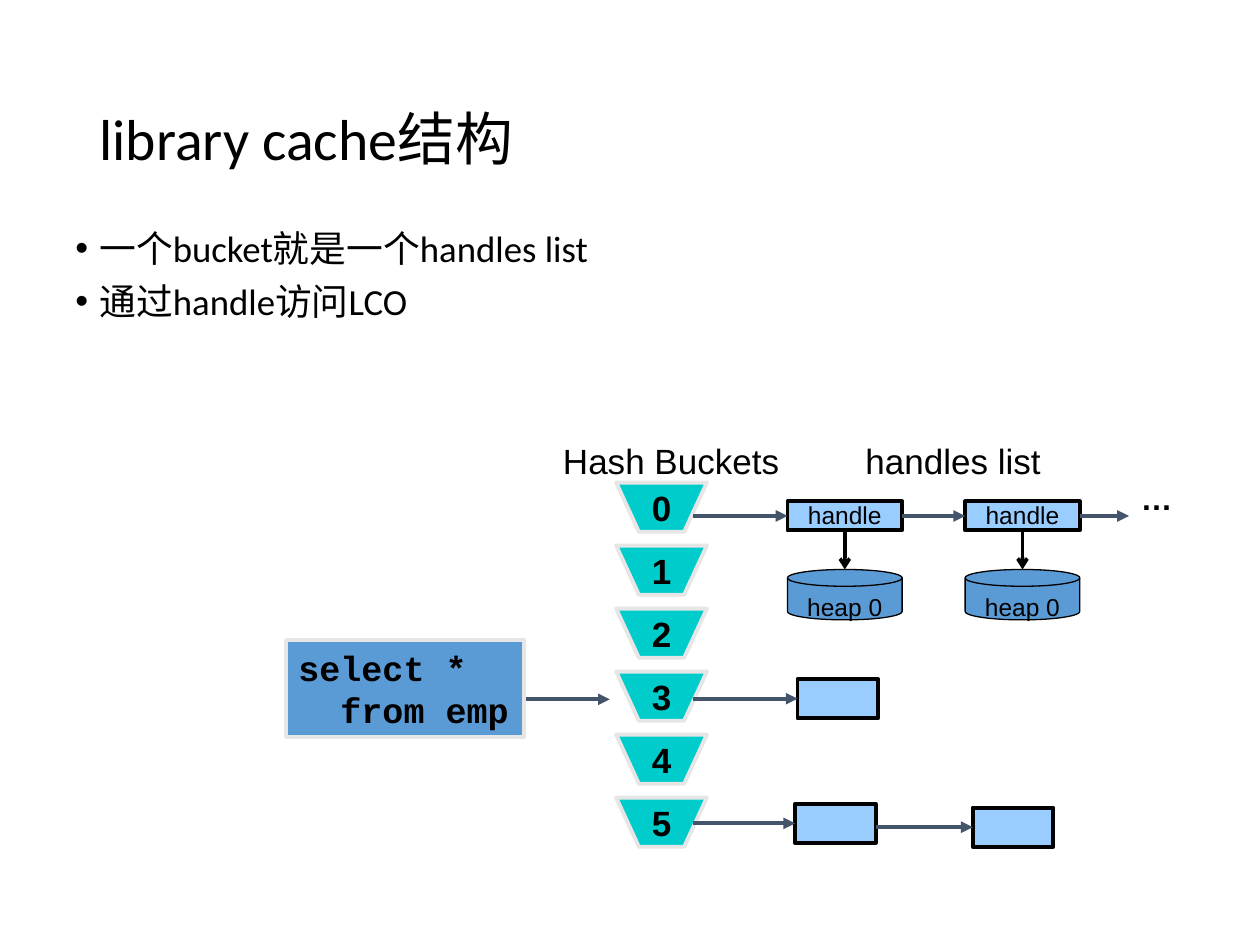
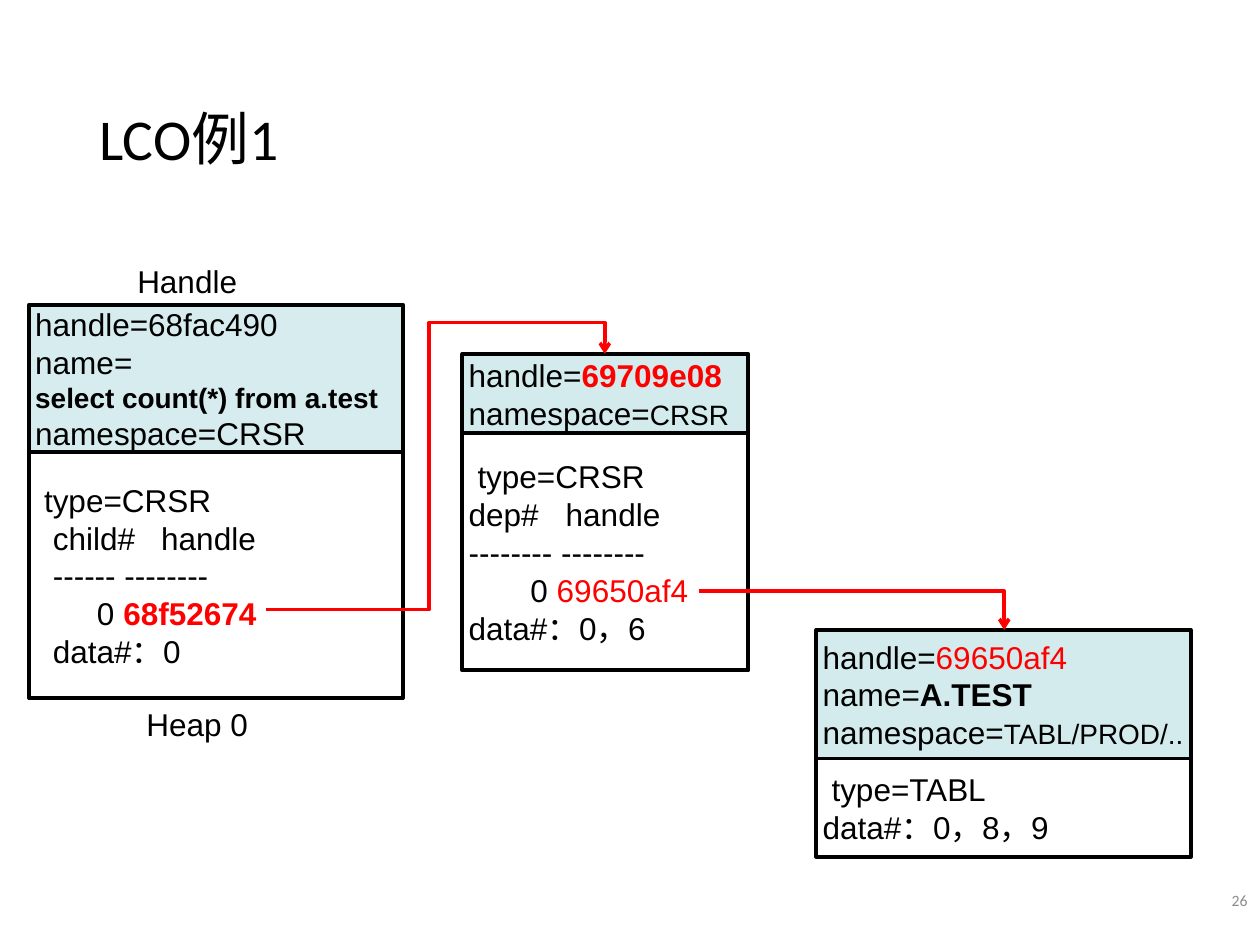
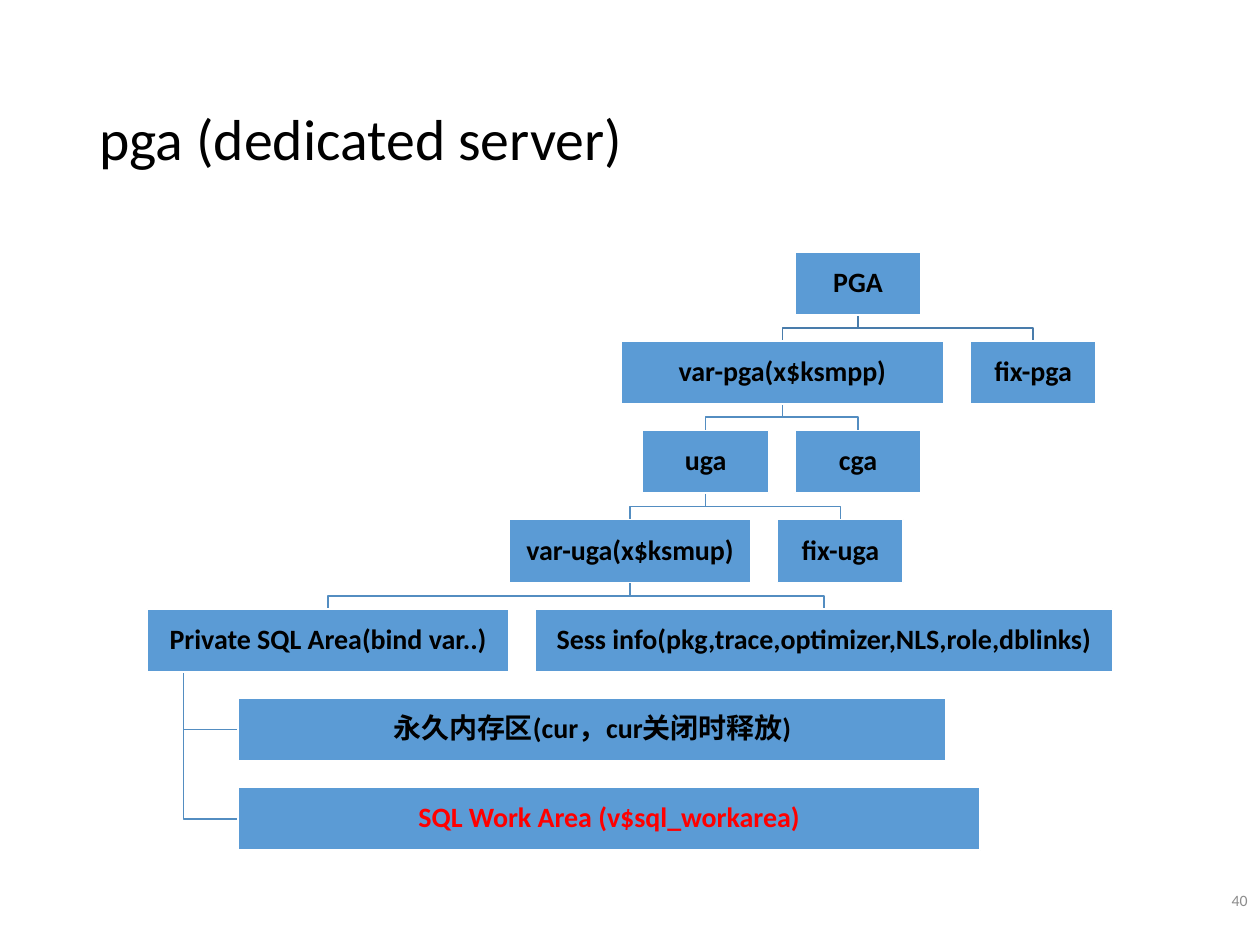
from dataclasses import dataclass

from lxml import etree
from pptx import Presentation
from pptx.dml.color import RGBColor
from pptx.enum import shapes, text
from pptx.oxml import ns
from pptx.util import Emu, Inches, Pt

BLACK = RGBColor(0x00, 0x00, 0x00)
WHITE = RGBColor(0xFF, 0xFF, 0xFF)
RED = RGBColor(0xFF, 0x00, 0x00)
GRAY = RGBColor(0x8C, 0x8C, 0x8C)
SILVER = RGBColor(0xE7, 0xE6, 0xE6)
SLATE = RGBColor(0x44, 0x54, 0x6A)
TEAL = RGBColor(0x00, 0xCC, 0xCC)
SKY = RGBColor(0x99, 0xCC, 0xFF)
BLUE = RGBColor(0x5B, 0x9B, 0xD5)
TREE_LINE = RGBColor(0x53, 0x8D, 0xC1)
ROOT_LINE = RGBColor(0x49, 0x7C, 0xAB)
PALE_BLUE = RGBColor(0xD6, 0xEC, 0xEE)
PALE_TEAL = RGBColor(0xD3, 0xEB, 0xED)

LEFT, CENTER, RIGHT = text.PP_ALIGN.LEFT, text.PP_ALIGN.CENTER, text.PP_ALIGN.RIGHT
TOP, MIDDLE = text.MSO_ANCHOR.TOP, text.MSO_ANCHOR.MIDDLE
RECTANGLE = shapes.MSO_SHAPE.RECTANGLE
DISK = shapes.MSO_SHAPE.FLOWCHART_MAGNETIC_DISK
STRAIGHT, ELBOW = shapes.MSO_CONNECTOR.STRAIGHT, shapes.MSO_CONNECTOR.ELBOW
SITE_LEFT, SITE_BOTTOM, SITE_RIGHT = 1, 2, 3


@dataclass
class Run:
    text: str
    size: float = 18
    color: RGBColor = BLACK
    bold: bool = False
    font: str = "Arial"


@dataclass
class Line:
    runs: list
    indent: float = 0
    tab: float = 0
    bullet: bool = False


def plain(words, indent=0, tab=0):
    return Line([Run(words)], indent, tab)


BULLETS = ["一个bucket就是一个handles list", "通过handle访问LCO"]
BUCKET_COUNT = 6
BUCKET_TOP, BUCKET_STEP = 3.83, 0.5
HANDLE_LEFTS = [6.25, 7.66]
LABELS = [("Hash Buckets", 4.37, 1.93), ("handles list", 6.77, 1.61)]
QUERY = ["select *", "  from emp"]

OBJECTS = [
    (0.23, 2.42, 2.97, 1.17, 1.95, PALE_BLUE,
     [plain("handle=68fac490"), plain("name="),
      Line([Run("select count(*) from a.test", 16, bold=True)]),
      plain("namespace=CRSR")],
     [plain("type=CRSR", 0.07), plain("child#\thandle", 0.14, 1.0),
      plain("------ --------", 0.14),
      Line([Run("0 "), Run("68f52674", color=RED, bold=True)], 0.49),
      plain("data#：0", 0.14)]),
    (3.67, 2.81, 2.27, 0.63, 1.88, PALE_TEAL,
     [Line([Run("handle="), Run("69709e08", color=RED, bold=True)]),
      Line([Run("namespace="), Run("CRSR", 16)])],
     [plain("type=CRSR", 0.07), plain("dep#\thandle", 0, 0.77),
      plain("-------- --------"),
      Line([Run("0 "), Run("69650af4", color=RED)], 0.49),
      plain("data#：0，6")]),
    (6.48, 5, 2.97, 1.02, 0.78, PALE_TEAL,
     [Line([Run("handle="), Run("69650af4", color=RED)]),
      Line([Run("name="), Run("A.TEST", bold=True)]),
      Line([Run("namespace="), Run("TABL/PROD/..", 16)])],
     [plain("type=TABL", 0.07), plain("data#：0，8，9")]),
]
CAPTIONS = [("Handle", 0.39, 2.03), ("Heap 0", 0.47, 5.55)]
REFERENCES = [
    ((2.11, 4.84), (4.8, 2.81), "bentConnector4", [48100, 112300]),
    ((5.55, 4.69), (7.97, 5), "bentConnector2", []),
]

NODE_TOP, NODE_STEP, NODE_HEIGHT = 2, 0.708, 0.5
NODES = [
    ("PGA", 0, 6.31, 1, None),
    ("var-pga(x$ksmpp)", 1, 4.93, 2.56, "PGA"),
    ("fix-pga", 1, 7.7, 1, "PGA"),
    ("uga", 2, 5.1, 1, "var-pga(x$ksmpp)"),
    ("cga", 2, 6.31, 1, "var-pga(x$ksmpp)"),
    ("var-uga(x$ksmup)", 3, 4.04, 1.92, "uga"),
    ("fix-uga", 3, 6.17, 1, "uga"),
    ("Private SQL Area(bind var..)", 4, 1.17, 2.87, "var-uga(x$ksmup)"),
    ("Sess info(pkg,trace,optimizer,NLS,role,dblinks)", 4, 4.25, 4.58, "var-uga(x$ksmup)"),
    ("永久内存区(cur，cur关闭时释放)", 5, 1.89, 5.62, "Private SQL Area(bind var..)"),
    ("SQL Work Area (v$sql_workarea)", 6, 1.89, 5.89, "Private SQL Area(bind var..)"),
]
HANGING_PARENT = "Private SQL Area(bind var..)"
HIGHLIGHTED_NODE = "SQL Work Area (v$sql_workarea)"


def add_element(parent, tag, **attributes):
    element = etree.SubElement(parent, ns.qn(tag))
    for name, value in attributes.items():
        element.set(name, str(value))
    return element


def write(shape, lines, align=LEFT, anchor=TOP, insets=(0.1, 0.05, 0.1, 0.05),
          spacing=None, before=0):
    frame = shape.text_frame
    frame.word_wrap = True
    frame.vertical_anchor = anchor
    frame.margin_left, frame.margin_top, frame.margin_right, frame.margin_bottom = map(Inches, insets)
    for index, line in enumerate(lines):
        paragraph = frame.add_paragraph() if index else frame.paragraphs[0]
        properties = paragraph._p.get_or_add_pPr()
        if line.bullet:
            properties.set("marL", str(Inches(0.19)))
            properties.set("indent", str(-Inches(0.19)))
            add_element(properties, "a:buFont", typeface="Arial")
            add_element(properties, "a:buChar", char="•")
        elif line.indent:
            properties.set("marL", "0")
            properties.set("indent", str(Inches(line.indent)))
        if line.tab:
            tabs = add_element(properties, "a:tabLst")
            add_element(tabs, "a:tab", pos=Inches(line.tab), algn="l")
        paragraph.alignment = align
        if spacing:
            paragraph.line_spacing = spacing
        if before and index:
            paragraph.space_before = Pt(before)
        for part in line.runs:
            run = paragraph.add_run()
            run.text = part.text
            run.font.name = part.font
            run.font.size = Pt(part.size)
            run.font.bold = part.bold
            run.font.color.rgb = part.color


def add_text(slide, box, lines, **layout):
    shape = slide.shapes.add_textbox(*map(Inches, box))
    write(shape, lines, **layout)


def paint(shape, fill, line, width):
    shape.shadow.inherit = False
    if fill is None:
        shape.fill.background()
    else:
        shape.fill.solid()
        shape.fill.fore_color.rgb = fill
    shape.line.color.rgb = line
    shape.line.width = Pt(width)


def add_box(slide, box, fill, line, width, kind=RECTANGLE):
    shape = slide.shapes.add_shape(kind, *map(Inches, box))
    paint(shape, fill, line, width)
    return shape


def add_path(slide, points, line, width, fill=None, close=False):
    start, *rest = [(Inches(x), Inches(y)) for x, y in points]
    builder = slide.shapes.build_freeform(*start)
    builder.add_line_segments(rest, close=close)
    shape = builder.convert_to_shape()
    paint(shape, fill, line, width)
    return shape


def add_head(shape, head):
    add_element(shape.line._get_or_add_ln(), "a:tailEnd", type=head)


def add_arrow(slide, start, end, color, width, head, kind=STRAIGHT):
    connector = slide.shapes.add_connector(kind, *map(Emu, start), *map(Emu, end))
    connector.line.color.rgb = color
    connector.line.width = Pt(width)
    add_head(connector, head)
    add_element(connector._element.spPr, "a:effectLst")
    return connector


def middle_y(shape):
    return shape.top + shape.height // 2


def add_link(slide, start_x, target, source=None):
    y = middle_y(target)
    arrow = add_arrow(slide, (start_x, y), (target.left, y), SLATE, 2.25, "triangle")
    if source is not None and middle_y(source) == y:
        arrow.begin_connect(source, SITE_RIGHT)
    arrow.end_connect(target, SITE_LEFT)


def add_slide(presentation, title, number=None):
    slide = presentation.slides.add_slide(presentation.slide_layouts[6])
    add_text(slide, (0.69, 0.4, 8.62, 1.45), [Line([Run(title, 33, font="Calibri")])],
             anchor=MIDDLE, spacing=0.9)
    if number:
        add_text(slide, (7.67, 7, 2.33, 0.29), [Line([Run(number, 9, GRAY, font="Calibri")])],
                 align=RIGHT, anchor=MIDDLE)
    return slide


def build_structure(presentation):
    slide = add_slide(presentation, "library cache结构")
    add_text(slide, (0.5, 1.78, 9.11, 1.97),
             [Line([Run(item, 21, font="Calibri")], bullet=True) for item in BULLETS],
             spacing=0.9, before=7.5)
    for number in range(BUCKET_COUNT):
        top = BUCKET_TOP + number * BUCKET_STEP
        bottom = top + 0.39
        bucket = add_path(slide, [(4.89, top), (5.07, bottom), (5.43, bottom), (5.61, top)],
                          SILVER, 2.25, TEAL, close=True)
        write(bucket, [Line([Run(str(number), 20, bold=True)])], CENTER, MIDDLE, (0, 0, 0, 0))

    query_link = add_path(slide, [(4.16, 5.47), (4.16, 5.55), (4.84, 5.55)], SLATE, 2.25)
    add_head(query_link, "triangle")
    query = add_box(slide, (2.27, 5.08, 1.89, 0.77), BLUE, SILVER, 2)
    write(query, [Line([Run(code, 20, bold=True, font="Courier New")]) for code in QUERY],
          insets=(0.1, 0.05, 0, 0.05))
    for label, left, width in LABELS:
        add_text(slide, (left, 3.44, width, 0.44), [Line([Run(label, 20)])],
                 insets=(0.1, 0.05, 0, 0.05))
    add_text(slide, (8.83, 3.75, 0.7, 0.4), [Line([Run("…", bold=True)])], align=CENTER)

    bucket_edge = Inches(5.5)
    previous = None
    for left in HANDLE_LEFTS:
        handle = add_box(slide, (left, 3.98, 0.91, 0.23), SKY, BLACK, 2.25)
        write(handle, [Line([Run("handle", 14)])], CENTER, MIDDLE, (0.05, 0, 0.05, 0), 0.95)
        heap = add_box(slide, (left, 4.52, 0.91, 0.4), BLUE, BLACK, 0.75, DISK)
        write(heap, [Line([Run("heap 0", 14)])], CENTER)
        center = handle.left + handle.width // 2
        down = add_arrow(slide, (center, handle.top + handle.height), (center, heap.top),
                         BLACK, 2, "arrow")
        down.begin_connect(handle, SITE_BOTTOM)
        start = previous.left + previous.width if previous is not None else bucket_edge
        add_link(slide, start, handle, previous)
        previous = handle
    y = middle_y(previous)
    onward = add_arrow(slide, (previous.left + previous.width, y), (Inches(8.96), y),
                       SLATE, 2.25, "triangle")
    onward.begin_connect(previous, SITE_RIGHT)

    third, fifth, fifth_next = [add_box(slide, (left, top, 0.64, 0.31), SKY, BLACK, 2.25)
                                for left, top in [(6.33, 5.39), (6.31, 6.38), (7.72, 6.41)]]
    add_link(slide, bucket_edge, third)
    add_link(slide, bucket_edge, fifth)
    add_link(slide, fifth.left + fifth.width, fifth_next, fifth)


def build_example(presentation):
    slide = add_slide(presentation, "LCO例1", "26")
    for left, top, width, head_height, body_height, fill, head, body in OBJECTS:
        parts = [(top, head_height, fill, head), (top + head_height, body_height, WHITE, body)]
        for part_top, height, color, lines in parts:
            box = add_box(slide, (left, part_top, width, height), color, BLACK, 2.25)
            write(box, lines, anchor=MIDDLE, insets=(0.05, 0.05, 0, 0.05))
    for start, end, preset, adjustments in REFERENCES:
        arrow = add_arrow(slide, map(Inches, start), map(Inches, end), RED, 2, "arrow", ELBOW)
        geometry = arrow._element.spPr.find(ns.qn("a:prstGeom"))
        geometry.set("prst", preset)
        guides = geometry.find(ns.qn("a:avLst"))
        if guides is None:
            guides = add_element(geometry, "a:avLst")
        for index, value in enumerate(adjustments, 1):
            add_element(guides, "a:gd", name=f"adj{index}", fmla=f"val {value}")
    for caption, left, top in CAPTIONS:
        add_text(slide, (left, top, 2.19, 0.4), [plain(caption)], align=CENTER)


def build_tree(presentation):
    slide = add_slide(presentation, "pga (dedicated server)", "40")
    boxes = {name: (left, NODE_TOP + row * NODE_STEP, width, NODE_HEIGHT)
             for name, row, left, width, _ in NODES}
    for name, row, left, width, parent in NODES:
        if parent is None:
            continue
        top = boxes[name][1]
        parent_left, parent_top, parent_width, _ = boxes[parent]
        bottom = parent_top + NODE_HEIGHT
        if parent == HANGING_PARENT:
            x, y = parent_left + parent_width / 10, top + NODE_HEIGHT / 2
            points = [(x, bottom), (x, y), (left, y)]
        else:
            start_x, end_x, y = parent_left + parent_width / 2, left + width / 2, (bottom + top) / 2
            points = [(start_x, bottom), (start_x, y), (end_x, y), (end_x, top)]
        add_path(slide, points, ROOT_LINE if row == 1 else TREE_LINE, 1)
    for name, box in boxes.items():
        node = add_box(slide, box, BLUE, WHITE, 1)
        color = RED if name == HIGHLIGHTED_NODE else BLACK
        write(node, [Line([Run(name, 16, color, True, "Calibri")])], CENTER, MIDDLE,
              (0.01, 0.01, 0.01, 0.01), 0.9)


def main():
    presentation = Presentation()
    presentation.slide_width = Inches(10)
    presentation.slide_height = Inches(7.5)
    build_structure(presentation)
    build_example(presentation)
    build_tree(presentation)
    presentation.save("out.pptx")


if __name__ == "__main__":
    main()
